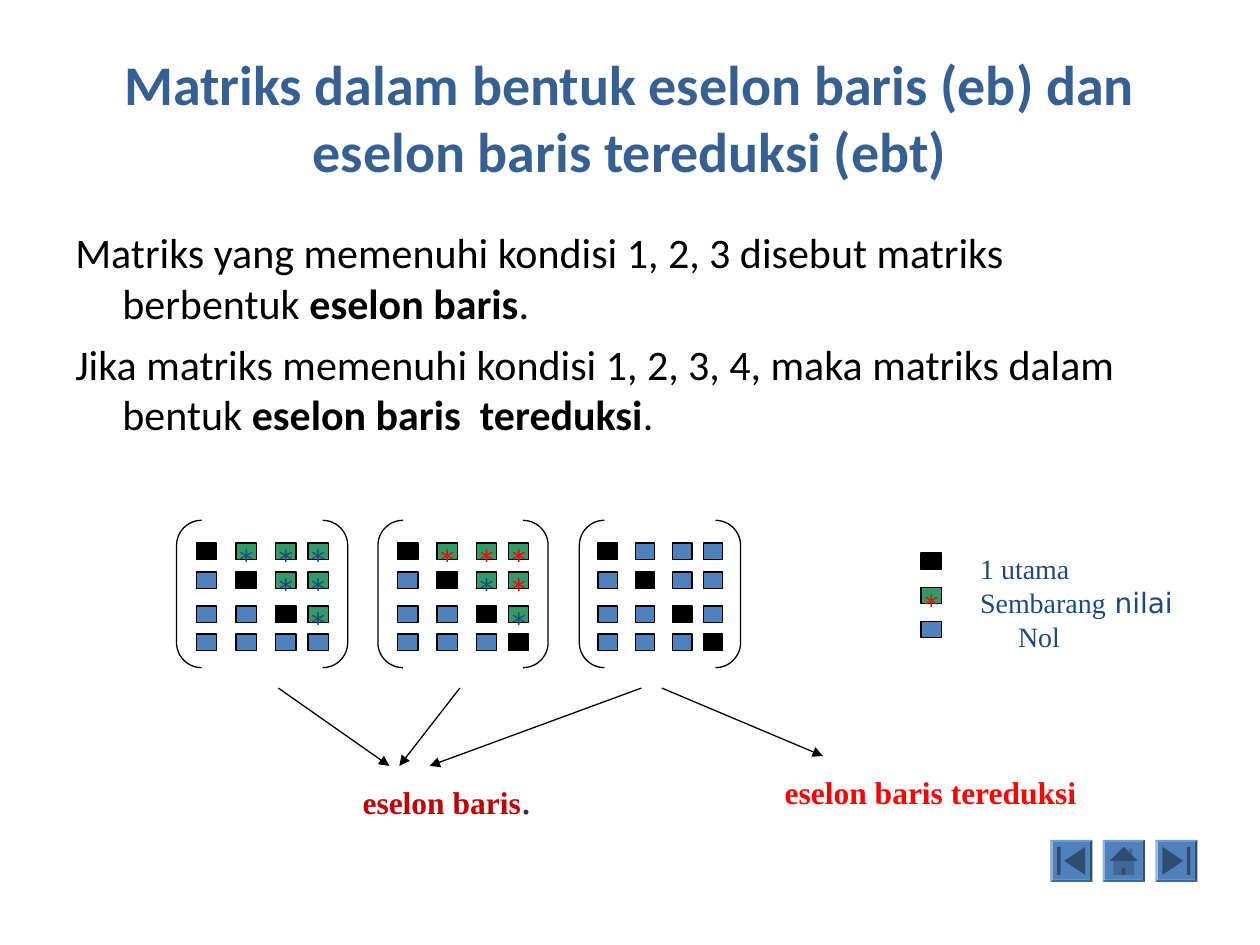
from lxml.etree import SubElement
from pptx import Presentation
from pptx.dml.color import RGBColor
from pptx.enum.shapes import MSO_CONNECTOR, MSO_SHAPE
from pptx.enum.text import MSO_ANCHOR, MSO_AUTO_SIZE as FIT, PP_ALIGN
from pptx.oxml.ns import qn
from pptx.util import Cm, Pt

COLORS = {
    "title": "376092", "black": "000000", "zero": "4F81BD", "any": "339966",
    "navy": "1F497D", "red": "FF0000", "dark_red": "C00000", "gray": "333333",
}
SANS, SERIF, SYMBOL = "Calibri", "Times New Roman", "DejaVu Sans"
CELL_WIDTH, CELL_HEIGHT = 0.41, 0.33

# Letters for cells: 1 = leading one, 0 = zero, n / r = any value, navy / red star
FILLS = {"1": "black", "0": "zero", "n": "any", "r": "any"}
STARS = {"n": "navy", "r": "red"}


def add_spans(para, spans):
    """Add runs given as (text, size, font, color, bold)."""
    for text, size, font, color, bold in spans:
        span = para.add_run()
        span.text = text
        span.font.size = Pt(size)
        span.font.name = font
        span.font.bold = bold
        span.font.color.rgb = RGBColor.from_string(COLORS[color])


def add_cell(left, top, letter, width=CELL_WIDTH):
    cell = page.shapes.add_shape(
        MSO_SHAPE.RECTANGLE, Cm(left), Cm(top), Cm(width), Cm(CELL_HEIGHT))
    cell.shadow.inherit = False
    cell.fill.solid()
    cell.fill.fore_color.rgb = RGBColor.from_string(COLORS[FILLS[letter]])
    cell.line.color.rgb = RGBColor.from_string(COLORS["black"])
    cell.line.width = Pt(0.75)
    if letter in STARS:
        cell.text_frame.word_wrap = False
        cell.text_frame.vertical_anchor = MSO_ANCHOR.MIDDLE
        para = cell.text_frame.paragraphs[0]
        para.alignment = PP_ALIGN.CENTER
        para.line_spacing = 1.5
        add_spans(para, [("*", 16, SYMBOL, STARS[letter], False)])


deck = Presentation()
deck.slide_width, deck.slide_height = Cm(25.4), Cm(19.05)
page = deck.slides.add_slide(deck.slide_layouts[6])

# Title
box = page.shapes.add_textbox(Cm(1.27), Cm(0.76), Cm(22.86), Cm(3.18))
box.text_frame.word_wrap = True
box.text_frame.vertical_anchor = MSO_ANCHOR.MIDDLE
para = box.text_frame.paragraphs[0]
para.alignment = PP_ALIGN.CENTER
add_spans(para, [("Matriks dalam bentuk eselon baris (eb) dan eselon baris tereduksi (ebt)",
                  32, SANS, "title", True)])

# Definitions, with hanging indent
definitions = [
    ("Matriks yang memenuhi kondisi 1, 2, 3 disebut matriks berbentuk ", "eselon baris"),
    ("Jika matriks memenuhi kondisi 1, 2, 3, 4, maka matriks dalam bentuk ",
     "eselon baris  tereduksi"),
]
box = page.shapes.add_textbox(Cm(1.27), Cm(4.45), Cm(22.86), Cm(12.57))
frame = box.text_frame
frame.word_wrap = True
for index, (condition, term) in enumerate(definitions):
    para = frame.add_paragraph() if index else frame.paragraphs[0]
    if index:
        para.space_before = Pt(6)
    properties = para._p.get_or_add_pPr()
    properties.set("marL", str(Cm(0.95)))
    properties.set("indent", str(-Cm(0.95)))
    add_spans(para, [(condition, 24, SANS, "black", False),
                     (term, 24, SANS, "black", True),
                     (".", 24, SANS, "black", False)])

# Matrices: left edge, width, rows of cells
FULL_WIDTH = 3.45
COLUMNS = [0.4, 1.2, 2, 2.65]
ROWS = [10.95, 11.53, 12.22, 12.78]
matrices = [
    (3.56, FULL_WIDTH, ["1nnn", "01nn", "001n", "0000"]),
    (7.62, 3.43, ["1rrr", "01nr", "001n", "0001"]),
    (11.68, 3.25, ["1000", "0100", "0010", "0001"]),
]
for left, width, rows in matrices:
    bracket = page.shapes.add_shape(
        MSO_SHAPE.DOUBLE_BRACKET, Cm(left), Cm(10.49), Cm(width), Cm(2.97))
    bracket.shadow.inherit = False
    bracket.adjustments[0] = 0.17
    bracket.fill.background()
    bracket.line.color.rgb = RGBColor.from_string(COLORS["black"])
    bracket.line.width = Pt(0.75)
    scale = width / FULL_WIDTH
    for top, letters in zip(ROWS, rows):
        for column, letter in zip(COLUMNS, letters):
            add_cell(left + column * scale, top, letter, CELL_WIDTH * scale)

# Legend
legend = [
    ("1", 19.51, 3.58, PP_ALIGN.LEFT, [("1 utama", 16, SERIF, "navy", False)]),
    ("r", 19.51, 4.6, PP_ALIGN.LEFT, [("Sembarang", 16, SERIF, "navy", False),
                                      (" nilai", 16, SYMBOL, "navy", False)]),
    ("0", 19.76, 2.51, PP_ALIGN.CENTER, [("Nol ", 16, SERIF, "navy", False)]),
]
for index, (letter, left, width, alignment, spans) in enumerate(legend):
    top = 11.05 + 0.69 * index
    add_cell(18.57, top + 0.1, letter)
    box = page.shapes.add_textbox(Cm(left), Cm(top), Cm(width), Cm(0.46))
    box.text_frame.word_wrap = False
    box.text_frame.vertical_anchor = MSO_ANCHOR.MIDDLE
    para = box.text_frame.paragraphs[0]
    para.alignment = alignment
    para.line_spacing = 1.5
    add_spans(para, spans)

# Names of the two forms
form_names = [
    (7.06, 3.91, 1.27, False, [("eselon baris", 18, SERIF, "dark_red", True),
                               (".", 24, SERIF, "gray", False)]),
    (15.57, 6.81, 1.02, True, [("eselon baris tereduksi", 18, SERIF, "red", True)]),
]
for left, width, height, wrap, spans in form_names:
    box = page.shapes.add_textbox(Cm(left), Cm(15.45), Cm(width), Cm(height))
    box.text_frame.word_wrap = wrap
    box.text_frame.auto_size = FIT.SHAPE_TO_FIT_TEXT
    add_spans(box.text_frame.paragraphs[0], spans)

# Arrows from the matrices to the names
for start, end, bottom in [(5.61, 7.85, 15.44), (9.27, 8.05, 15.44),
                           (12.93, 8.66, 15.44), (13.34, 16.59, 15.24)]:
    arrow = page.shapes.add_connector(
        MSO_CONNECTOR.STRAIGHT, Cm(start), Cm(13.87), Cm(end), Cm(bottom))
    arrow.line.color.rgb = RGBColor.from_string(COLORS["black"])
    arrow.line.width = Pt(0.75)
    SubElement(arrow.line._get_or_add_ln(), qn("a:tailEnd"), type="triangle")
    SubElement(arrow._element.spPr, qn("a:effectLst"))

# Navigation buttons: a bevelled frame with the icon face inside it
BUTTON_SIZE, BEVEL = 0.85, 0.05
icons = [MSO_SHAPE.ACTION_BUTTON_BEGINNING, MSO_SHAPE.ACTION_BUTTON_HOME,
         MSO_SHAPE.ACTION_BUTTON_END]
for index, icon in enumerate(icons):
    left = 21.17 + 1.06 * index
    for kind, inset in [(MSO_SHAPE.BEVEL, 0), (icon, BEVEL)]:
        size = Cm(BUTTON_SIZE - 2 * inset)
        button = page.shapes.add_shape(kind, Cm(left + inset), Cm(16.93 + inset), size, size)
        button.shadow.inherit = False
        button.fill.solid()
        button.fill.fore_color.rgb = RGBColor.from_string(COLORS["zero"])
        button.line.fill.background()
        if kind == MSO_SHAPE.BEVEL:
            button.adjustments[0] = BEVEL / BUTTON_SIZE

deck.save("out.pptx")
